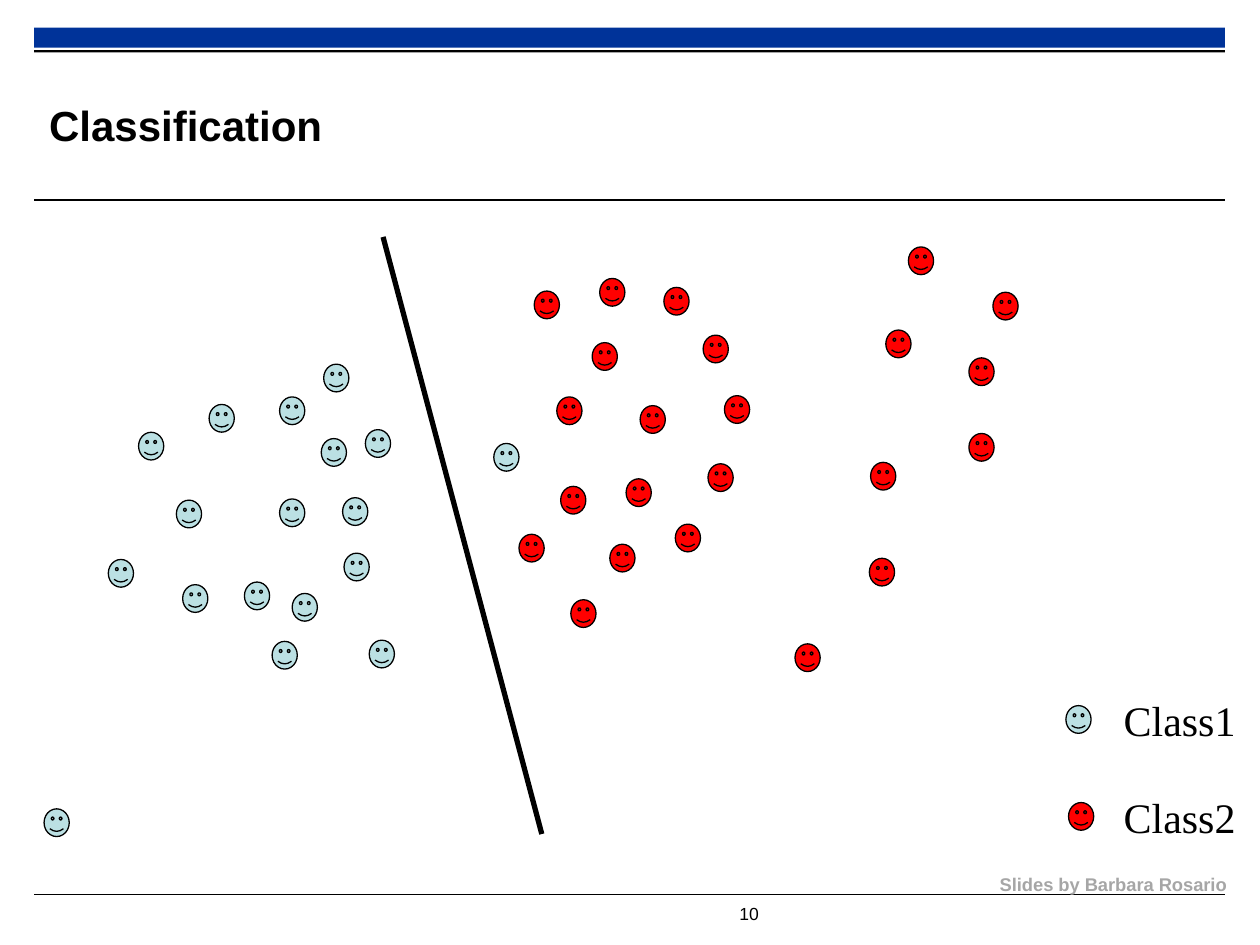
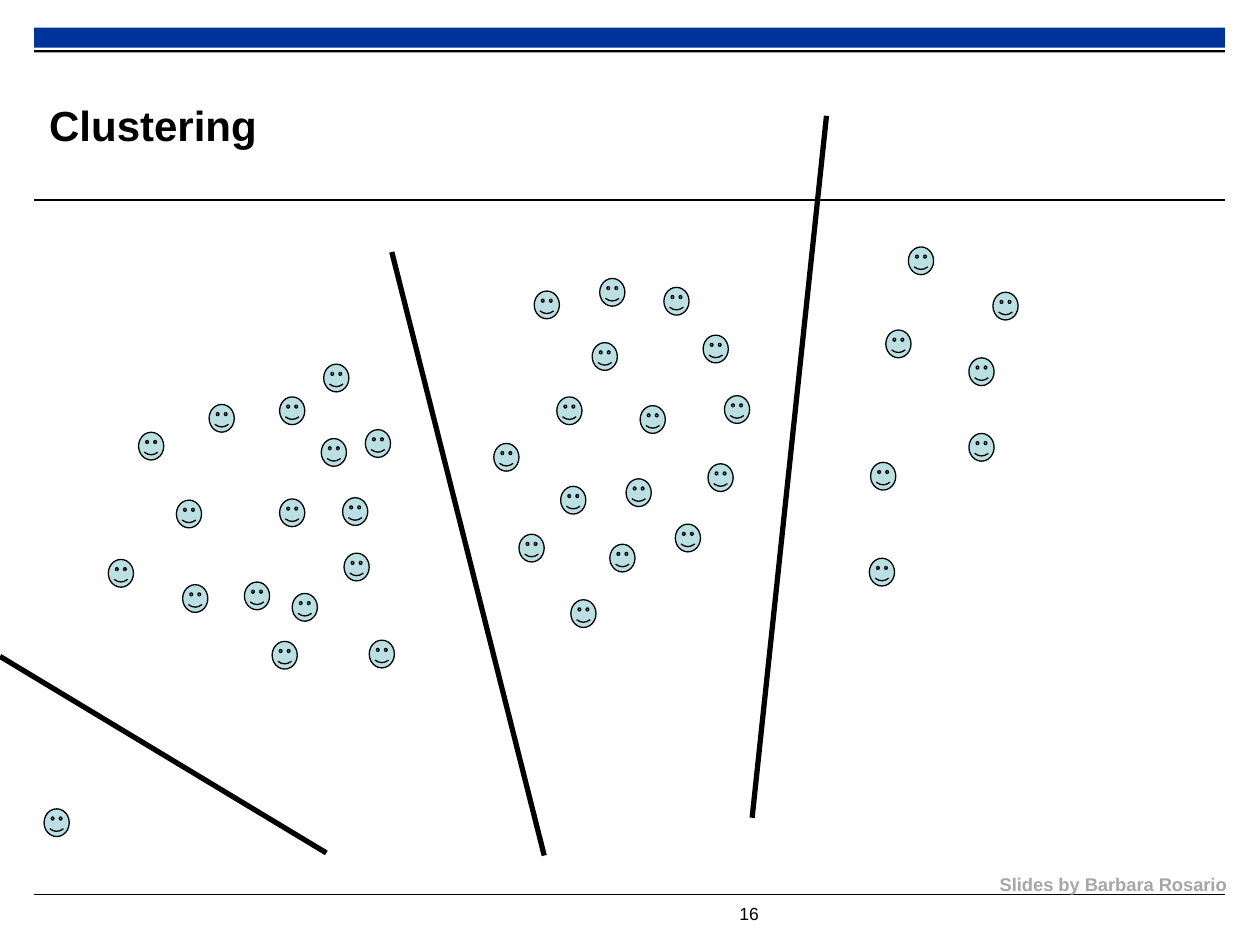
"""Build two slides that contrast classification with clustering."""
import pptx
import pptx.dml.color
import pptx.enum.shapes
import pptx.enum.text
import pptx.oxml.ns
import pptx.util
from lxml import etree

Pt = pptx.util.Pt
RGBColor = pptx.dml.color.RGBColor
MSO_SHAPE = pptx.enum.shapes.MSO_SHAPE
PP_ALIGN = pptx.enum.text.PP_ALIGN
MSO_ANCHOR = pptx.enum.text.MSO_ANCHOR

BLUE = RGBColor(0x00, 0x33, 0x99)
BLACK = RGBColor(0x00, 0x00, 0x00)
GREY = RGBColor(0xA6, 0xA6, 0xA6)
PALE = RGBColor(0xBB, 0xE0, 0xE3)
RED = RGBColor(0xFF, 0x00, 0x00)

LEFT, WIDTH = 19.5, 680.4
FACE_W, FACE_H = 14.4, 15.84

CLASS1 = [
    (119.5, 231.1), (159.8, 226.8), (185, 208.1), (104.4, 334.1),
    (100.8, 285.8), (208.8, 245.5), (139.7, 332.6), (61.9, 319.7),
    (79.2, 247), (159.8, 285.1), (195.8, 284.4), (167, 339.1),
    (196.6, 316.1), (282.2, 253.4), (211, 365.8), (155.5, 366.5),
    (183.6, 250.6), (25.2, 462.2),
]
CLASS2 = [
    (296.6, 305.3), (305.3, 166.3), (338.4, 195.8), (342.7, 159.1),
    (379.4, 164.2), (320.4, 277.9), (318.2, 226.8), (506.2, 188.6),
    (357.8, 273.6), (404.6, 265), (519.1, 141.1), (365.8, 231.8),
    (414, 226.1), (348.5, 311), (385.9, 299.5), (553.7, 247.7),
    (496.8, 319), (553.7, 204.5), (497.5, 264.2), (567.4, 167),
    (401.8, 191.5), (326.2, 342.7),
]
CLASS2_OUTLIER = (454.3, 367.9)


def write_text(tf, text, font="Arial", size=24, color=BLACK, bold=False,
               align=PP_ALIGN.LEFT, anchor=MSO_ANCHOR.TOP):
    tf.word_wrap = True
    tf.vertical_anchor = anchor
    p = tf.paragraphs[0]
    p.alignment = align
    r = p.add_run()
    r.text = text
    r.font.name = font
    r.font.size = Pt(size)
    r.font.bold = bold
    r.font.color.rgb = color


class Deck:
    def __init__(self):
        self.prs = pptx.Presentation()
        self.prs.slide_width = Pt(720)
        self.prs.slide_height = Pt(540)
        self.slide = None

    def new_slide(self, title, number):
        self.slide = self.prs.slides.add_slide(self.prs.slide_layouts[5])
        self.bar(15.8, 11.5, BLUE)
        self.bar(28.6, 1.4, BLACK)
        for y in (114.3, 511.2):
            self.line((LEFT, y), (LEFT + WIDTH, y), 0.6)
        self.title(title)
        self.text(str(number), 415.4, 512.6, 34.6, 19.4, size=10)
        self.text("Slides by Barbara Rosario", 540, 495.4, 168.3, 20.2,
                  size=10.5, color=GREY, bold=True, align=PP_ALIGN.RIGHT)

    def title(self, text):
        sp = self.slide.shapes.title
        sp.left, sp.top, sp.width, sp.height = Pt(28.1), Pt(38.2), Pt(512), Pt(66.2)
        tf = sp.text_frame
        tf.margin_left = tf.margin_right = tf.margin_top = tf.margin_bottom = 0
        write_text(tf, text, bold=True, anchor=MSO_ANCHOR.MIDDLE)

    def text(self, text, x, y, w, h, **style):
        sp = self.slide.shapes.add_textbox(Pt(x), Pt(y), Pt(w), Pt(h))
        write_text(sp.text_frame, text, **style)

    def shape(self, kind, x, y, w, h, fill):
        sp = self.slide.shapes.add_shape(kind, Pt(x), Pt(y), Pt(w), Pt(h))
        sp.shadow.inherit = False
        sp.fill.solid()
        sp.fill.fore_color.rgb = fill
        return sp

    def bar(self, y, h, fill):
        sp = self.shape(MSO_SHAPE.RECTANGLE, LEFT, y, WIDTH, h, fill)
        sp.line.fill.background()

    def faces(self, points, fill):
        for x, y in points:
            sp = self.shape(MSO_SHAPE.SMILEY_FACE, x, y, FACE_W, FACE_H, fill)
            sp.line.color.rgb = BLACK
            sp.line.width = Pt(0.75)

    def line(self, start, end, width=3):
        ends = [Pt(v) for v in (*start, *end)]
        cxn = self.slide.shapes.add_connector(
            pptx.enum.shapes.MSO_CONNECTOR.STRAIGHT, *ends)
        cxn.line.color.rgb = BLACK
        cxn.line.width = Pt(width)
        etree.SubElement(cxn._element.spPr, pptx.oxml.ns.qn("a:effectLst"))

    def legend(self, text, x, y, fill):
        self.faces([(x, y)], fill)
        self.text(text, 635, y - 9.7, 85, 36, font="Times New Roman")


def main():
    deck = Deck()

    deck.new_slide("Classification", 10)
    deck.legend("Class1", 609.1, 403.2, PALE)
    deck.legend("Class2", 610.6, 458.6, RED)
    deck.faces(CLASS1, PALE)
    deck.faces(CLASS2 + [CLASS2_OUTLIER], RED)
    deck.line((218.9, 135.4), (309.6, 476.6))

    deck.new_slide("Clustering", 16)
    deck.faces(CLASS1 + CLASS2, PALE)
    for start, end in (((223.9, 144), (311, 488.9)),
                       ((472.3, 66.2), (429.8, 467.3)),
                       ((0, 375.1), (186.5, 487.4))):
        deck.line(start, end)

    deck.prs.save("out.pptx")


if __name__ == "__main__":
    main()
